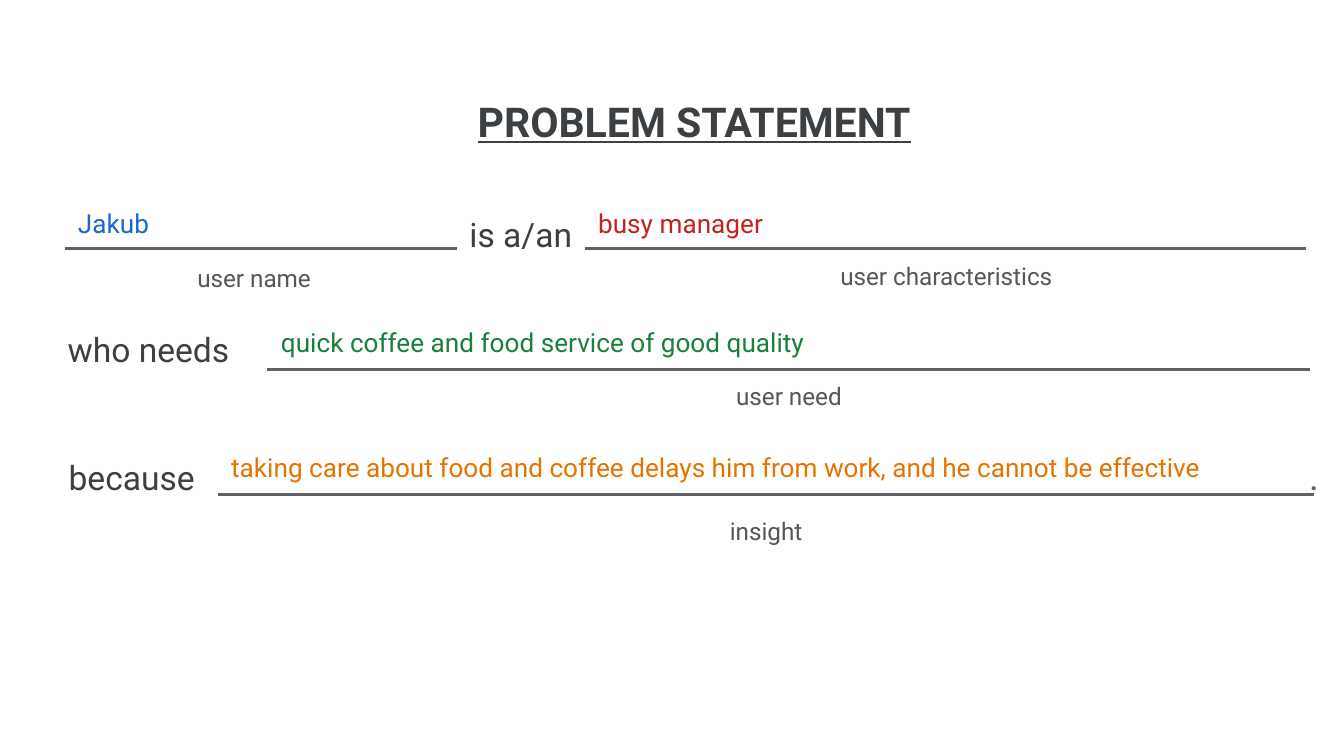
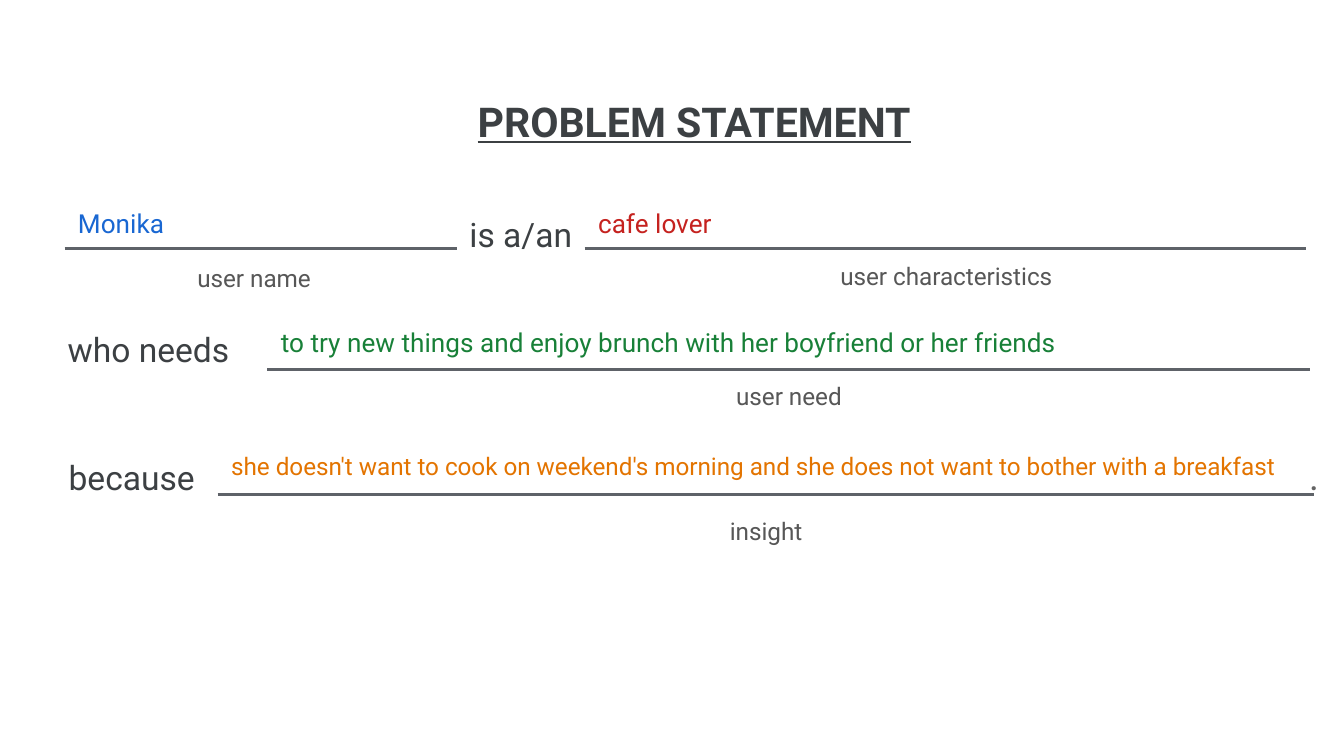
from dataclasses import dataclass
from typing import NamedTuple

from lxml import etree
from pptx import Presentation
from pptx.dml.color import RGBColor
from pptx.enum.shapes import MSO_CONNECTOR
from pptx.enum.text import MSO_ANCHOR, MSO_AUTO_SIZE, PP_ALIGN
from pptx.oxml.ns import qn
from pptx.util import Inches, Pt

LEFT, CENTER = PP_ALIGN.LEFT, PP_ALIGN.CENTER
TOP = MSO_ANCHOR.TOP
NO_FIT = MSO_AUTO_SIZE.NONE
STRAIGHT = MSO_CONNECTOR.STRAIGHT

FONT = "Roboto"
COLORS = {
    "ink": "3C4043", "caption": "575757", "period": "646464", "rule": "5E6268",
    "name": "1967D2", "trait": "C5221F", "need": "188038", "insight": "E37400",
}
COMPARISON_LAYOUT = 4  # a title and four text placeholders


class Box(NamedTuple):
    left: float
    top: float
    width: float
    height: float


@dataclass(frozen=True)
class Style:
    size: float
    color: str
    align: PP_ALIGN = CENTER
    inset: float = 0.1
    heading: bool = False


@dataclass(frozen=True)
class Blank:
    """A line to fill in: answer above it, caption below it."""
    key: str
    answer_box: Box
    rule_right: float
    rule_y: float
    caption: str
    caption_box: Box


@dataclass(frozen=True)
class Label:
    text: str
    box: Box
    style: Style


@dataclass(frozen=True)
class Statement:
    answers: dict[str, str]
    insight_size: float = 14


TITLE = Label("PROBLEM STATEMENT", Box(0.43, 0.62, 9.47, 0.54),
              Style(22, "ink", heading=True))
CAPTION = Style(13, "caption")
CONNECTIVE = Style(18, "ink")

LABELS = [
    Label("is a/an", Box(3.4, 1.54, 0.95, 0.4), Style(18, "ink", inset=0.05)),
    Label("who needs", Box(0.09, 2.35, 2.03, 0.63), CONNECTIVE),
    Label("because", Box(0.09, 3.3, 1.78, 0.54), CONNECTIVE),
    Label(".", Box(9.69, 3.32, 0.31, 0.44), Style(20, "period", LEFT, 0.05)),
]

BLANKS = [
    Blank("name", Box(0.48, 1.44, 2.92, 0.42), 3.4, 1.85,
          "user name", Box(0.43, 1.86, 2.92, 0.35)),
    Blank("trait", Box(4.35, 1.44, 5.38, 0.42), 9.72, 1.85,
          "user characteristics", Box(4.35, 1.84, 5.38, 0.35)),
    Blank("need", Box(1.99, 2.33, 7.76, 0.42), 9.75, 2.75,
          "user need", Box(1.99, 2.74, 7.76, 0.52)),
    Blank("insight", Box(1.62, 3.26, 8.11, 0.42), 9.78, 3.68,
          "insight", Box(1.62, 3.74, 8.16, 0.63)),
]

STATEMENTS = [
    Statement({
        "name": "Jakub",
        "trait": "busy manager",
        "need": "quick coffee and food service of good quality",
        "insight": "taking care about food and coffee delays him from work, "
                   "and he cannot be effective",
    }),
    Statement({
        "name": "Monika",
        "trait": "cafe lover",
        "need": "to try new things and enjoy brunch with her boyfriend or her friends",
        "insight": "she doesn't want to cook on weekend's morning "
                   "and she does not want to bother with a breakfast",
    }, insight_size=13),
]


def write(sp, text: str, style: Style) -> None:
    tf = sp.text_frame
    tf.word_wrap = True
    tf.auto_size = NO_FIT
    tf.vertical_anchor = TOP
    tf.margin_left = tf.margin_right = Inches(style.inset)
    tf.margin_top = tf.margin_bottom = Inches(style.inset)
    p = tf.paragraphs[0]
    p.alignment = style.align
    p.space_before = Pt(0)
    r = p.add_run()
    r.text = text
    r.font.name = FONT
    r.font.size = Pt(style.size)
    r.font.bold = r.font.underline = style.heading
    r.font.color.rgb = RGBColor.from_string(COLORS[style.color])


def fill_placeholder(sp, box: Box, text: str, style: Style) -> None:
    """Move a placeholder, write in it and clear its inherited bullet."""
    sp.left, sp.top, sp.width, sp.height = map(Inches, box)
    write(sp, text, style)
    pPr = sp.text_frame.paragraphs[0]._p.get_or_add_pPr()
    pPr.set("marL", "0")
    pPr.set("indent", "0")
    etree.SubElement(pPr, qn("a:buNone"))


def add_label(slide, label: Label) -> None:
    sp = slide.shapes.add_textbox(*map(Inches, label.box))
    write(sp, label.text, label.style)


def add_rule(slide, left: float, right: float, y: float) -> None:
    line = slide.shapes.add_connector(
        STRAIGHT, Inches(left), Inches(y), Inches(right), Inches(y))
    line.line.width = Pt(1.5)
    line.line.color.rgb = RGBColor.from_string(COLORS["rule"])
    etree.SubElement(line._element.spPr, qn("a:effectLst"))


def add_statement(prs, statement: Statement) -> None:
    slide = prs.slides.add_slide(prs.slide_layouts[COMPARISON_LAYOUT])
    title, *bodies = slide.placeholders
    fill_placeholder(title, TITLE.box, TITLE.text, TITLE.style)
    for label in LABELS:
        add_label(slide, label)
    for blank, body in zip(BLANKS, bodies):
        add_label(slide, Label(blank.caption, blank.caption_box, CAPTION))
        add_rule(slide, blank.answer_box.left, blank.rule_right, blank.rule_y)
        size = statement.insight_size if blank.key == "insight" else 14
        fill_placeholder(body, blank.answer_box, statement.answers[blank.key],
                         Style(size, blank.key, LEFT))


def main() -> None:
    prs = Presentation()
    prs.slide_width = Inches(10)
    prs.slide_height = prs.slide_width * 9 // 16
    for statement in STATEMENTS:
        add_statement(prs, statement)
    prs.save("out.pptx")


if __name__ == "__main__":
    main()
